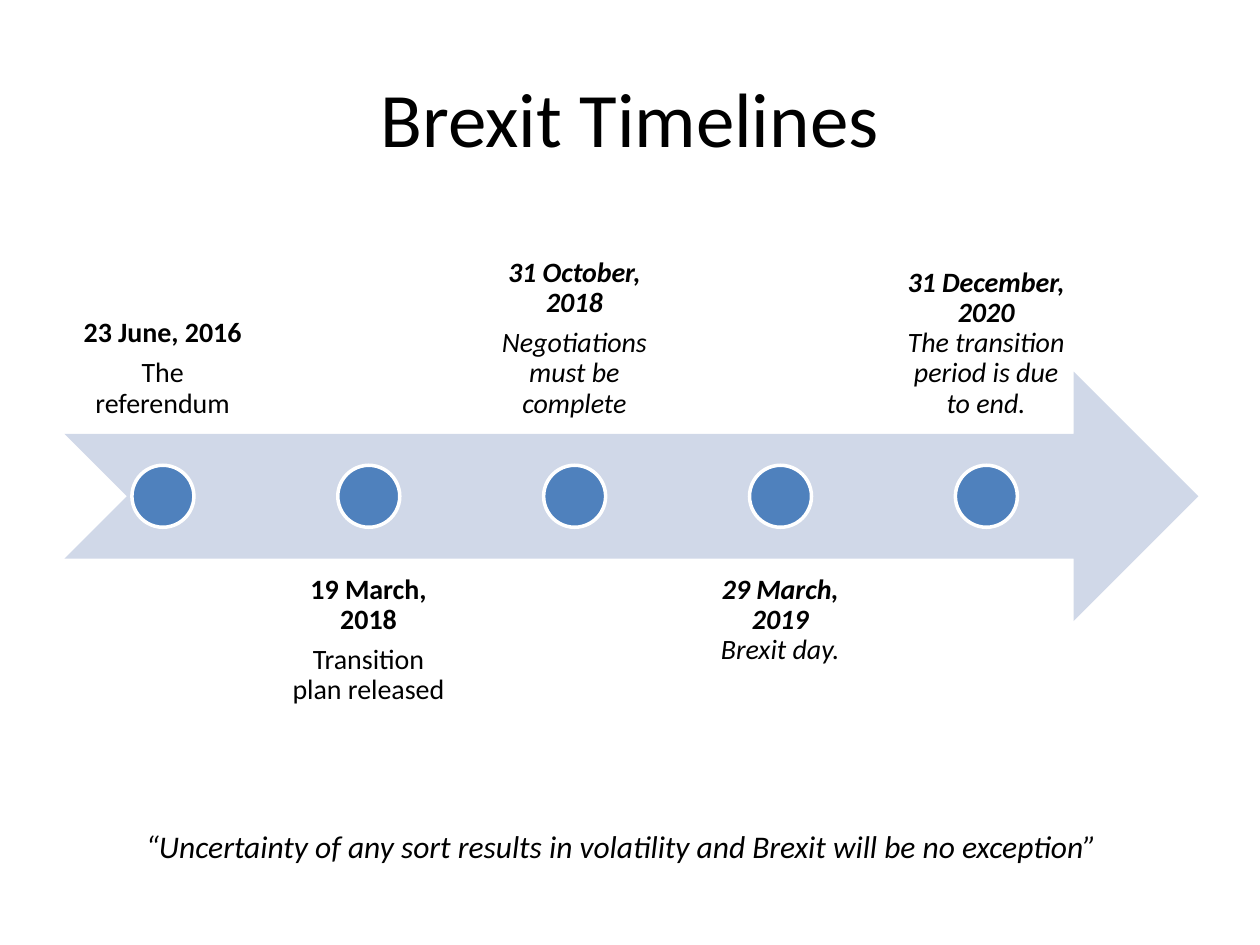
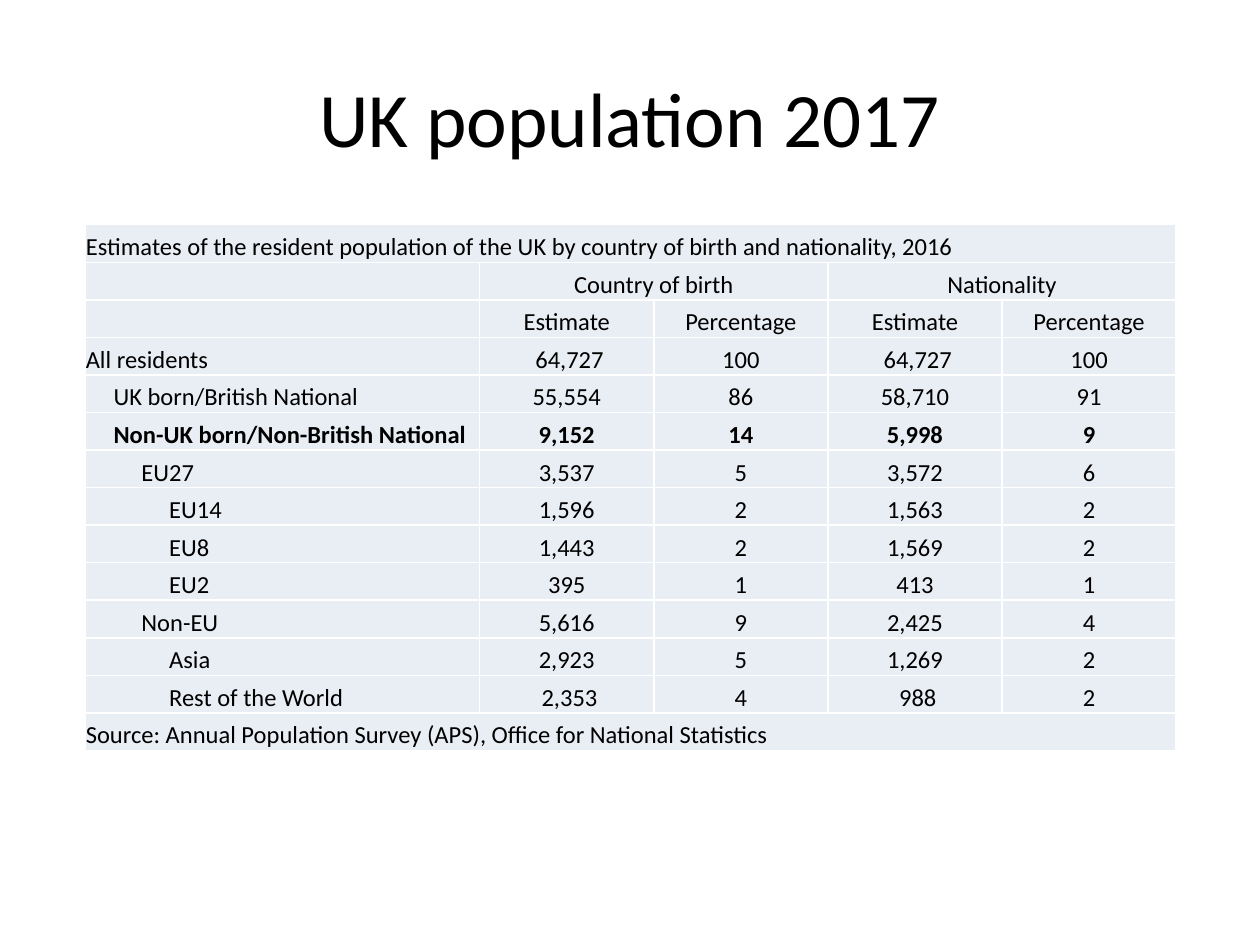
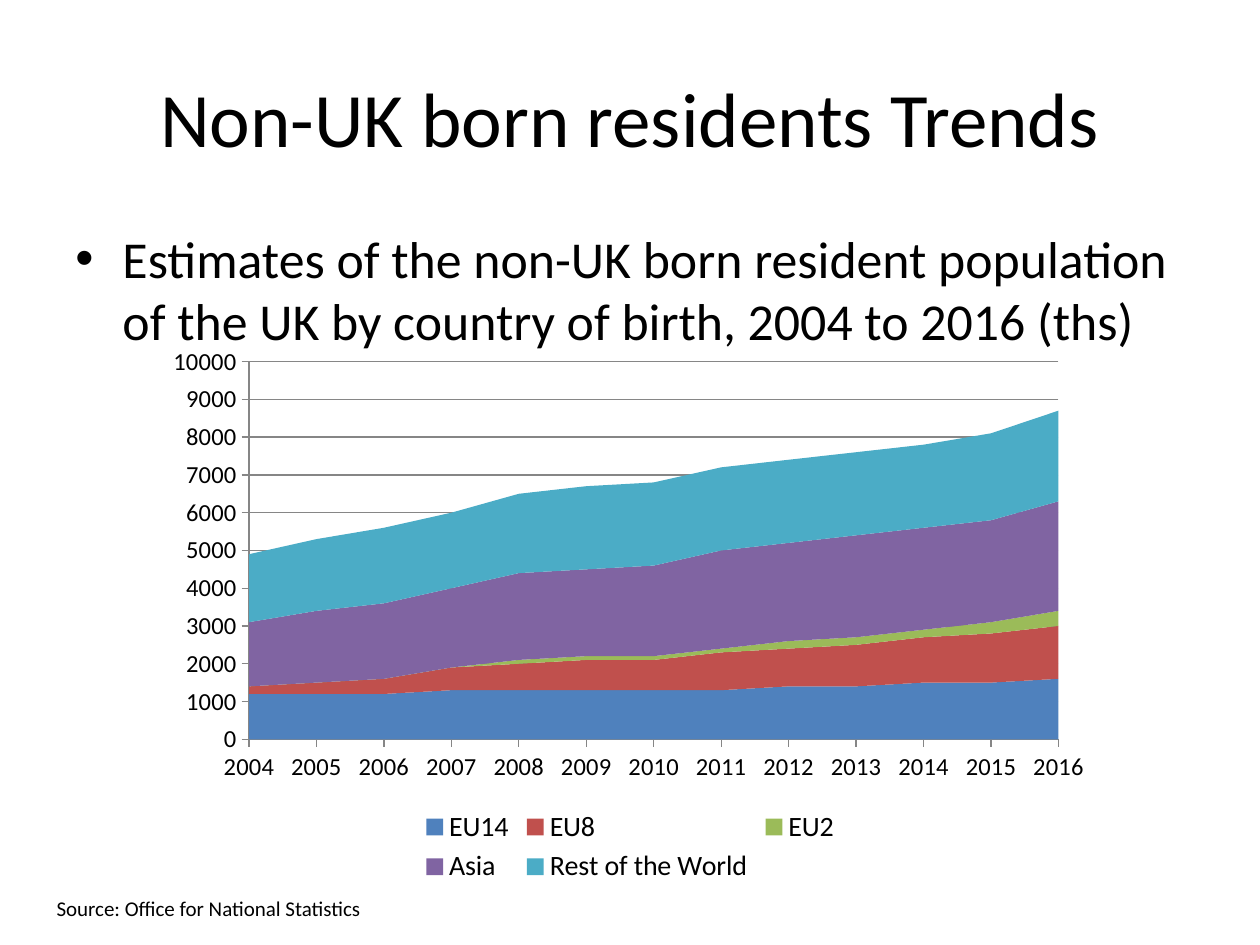
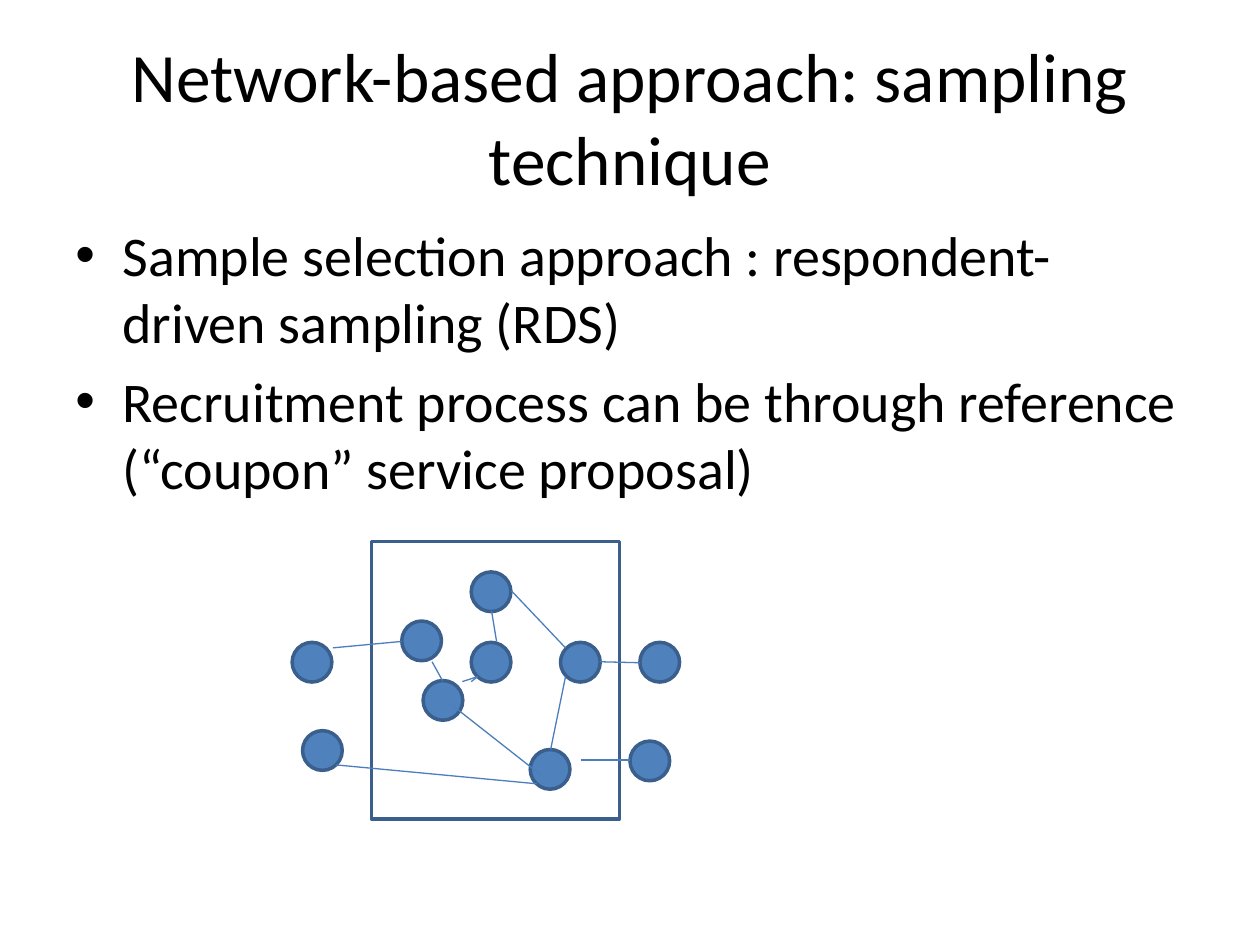
from lxml.etree import SubElement
from pptx import Presentation
from pptx.chart.data import CategoryChartData
from pptx.dml.color import RGBColor
from pptx.enum.chart import XL_CHART_TYPE as ChartType, XL_LEGEND_POSITION as LegendPosition
from pptx.enum.chart import XL_TICK_MARK as TickMark
from pptx.enum.shapes import MSO_CONNECTOR as Connector, MSO_SHAPE as Shape
from pptx.enum.text import MSO_ANCHOR as Anchor, PP_ALIGN as Align
from pptx.oxml.ns import qn
from pptx.util import Cm, Pt

FONT = "Calibri"
COLOURS = {
    "text": "000000", "white": "FFFFFF", "arrow": "D0D8E8", "blue": "4F81BD",
    "outline": "3A5F8C", "link": "4B7EBC", "cell": "E9EDF4", "grid": "868686",
    "red": "C0504D", "green": "9BBB59", "purple": "8064A2", "teal": "4BACC6",
}
RGB = {name: RGBColor.from_string(value) for name, value in COLOURS.items()}


def write(para, text, size, bold=False, italic=False, align=Align.LEFT):
    para.alignment = align
    span = para.add_run()
    span.text = text
    span.font.name = FONT
    span.font.size = Pt(size)
    span.font.bold = bold
    span.font.italic = italic
    span.font.color.rgb = RGB["text"]


def add_frame(page, left, top, width, height, anchor=Anchor.TOP):
    box = page.shapes.add_textbox(Cm(left), Cm(top), Cm(width), Cm(height))
    frame = box.text_frame
    frame.word_wrap = True
    frame.vertical_anchor = anchor
    return frame


deck = Presentation()
deck.slide_width = Cm(25.4)
deck.slide_height = Cm(19.05)

titles = [
    ("Brexit Timelines", 44),
    ("UK population 2017", 44),
    ("Non-UK born residents Trends", 44),
    ("Network-based approach: sampling technique", 39.6),
]
pages = []
for title, size in titles:
    page = deck.slides.add_slide(deck.slide_layouts[6])
    frame = add_frame(page, 1.27, 0.76, 22.86, 3.18, Anchor.MIDDLE)
    write(frame.paragraphs[0], title, size, align=Align.CENTER)
    pages.append(page)
timeline_page, table_page, trend_page, network_page = pages

bullet_lists = [
    (trend_page, 4.45, 2.49, 29.6, [
        "Estimates of the non-UK born resident population of the UK by country of birth, 2004 to 2016 (ths)",
    ]),
    (network_page, 4.32, 12.57, 32, [
        "Sample selection approach : respondent-driven sampling (RDS)",
        "Recruitment process can be through reference (“coupon” service proposal)",
    ]),
]
for page, top, height, size, lines in bullet_lists:
    frame = add_frame(page, 1.27, top, 22.86, height)
    for index, line in enumerate(lines):
        para = frame.add_paragraph() if index else frame.paragraphs[0]
        write(para, line, size)
        para.space_before = Pt(size * 0.2)
        props = para._p.get_or_add_pPr()
        props.set("marL", str(Cm(0.95)))
        props.set("indent", str(-Cm(0.95)))
        SubElement(props, qn("a:buFont")).set("typeface", "Arial")
        SubElement(props, qn("a:buChar")).set("char", "•")

arrow = timeline_page.shapes.add_shape(
    Shape.NOTCHED_RIGHT_ARROW, Cm(1.3), Cm(7.49), Cm(22.86), Cm(5.03))
arrow.shadow.inherit = False
arrow.fill.solid()
arrow.fill.fore_color.rgb = RGB["arrow"]
arrow.line.fill.background()

events = [
    ("23 June, 2016", "The referendum", False, 5.6),
    ("19 March, 2018", "Transition plan released", False, 5.6),
    ("31 October, 2018", "Negotiations must be complete", True, 5.6),
    ("29 March, 2019", "Brexit day.", True, 0),
    ("31 December, 2020", "The transition period is due to end.", True, 0),
]
for index, (date, event, italic, gap) in enumerate(events):
    left = 1.3 + index * 4.15
    above = index % 2 == 0
    frame = add_frame(timeline_page, left, 3.73 if above else 11.28, 3.96, 5.03,
                      Anchor.BOTTOM if above else Anchor.TOP)
    frame.margin_left = frame.margin_right = Cm(0.31)
    frame.margin_top = frame.margin_bottom = Cm(0.31)
    date_para = frame.paragraphs[0]
    event_para = frame.add_paragraph()
    write(date_para, date, 16, True, italic, Align.CENTER)
    write(event_para, event, 16, False, italic, Align.CENTER)
    date_para.line_spacing = event_para.line_spacing = 0.9
    date_para.space_after = Pt(gap)
    dot = timeline_page.shapes.add_shape(
        Shape.OVAL, Cm(left + 1.36), Cm(9.38), Cm(1.25), Cm(1.25))
    dot.shadow.inherit = False
    dot.fill.solid()
    dot.fill.fore_color.rgb = RGB["blue"]
    dot.line.color.rgb = RGB["white"]
    dot.line.width = Pt(2)

quote = add_frame(timeline_page, 2.69, 16.54, 21.06, 1.02)
write(quote.paragraphs[0],
      "“Uncertainty of any sort results in volatility and Brexit will be no exception”",
      18, italic=True)

rows = [
    (0, "Estimates of the resident population of the UK by country of birth and nationality, 2016", "", "", "", ""),
    (0, "", "Country of birth", "", "Nationality", ""),
    (0, "", "Estimate", "Percentage", "Estimate", "Percentage"),
    (0, "All residents", "\u00a064,727", "100", "\u00a064,727", "100"),
    (1, "UK born/British National", "55,554", "86", "58,710", "91"),
    (1, "Non-UK born/Non-British National", "9,152", "14", "5,998", "9"),
    (2, "EU27", "3,537", "5", "3,572", "6"),
    (3, "EU14", "1,596", "2", "1,563", "2"),
    (3, "EU8", "1,443", "2", "1,569", "2"),
    (3, "EU2", "395", "1", "413", "1"),
    (2, "Non-EU", "5,616", "9", "2,425", "4"),
    (3, "Asia", "2,923", "5", "1,269", "2"),
    (3, "Rest of the World", "\u00a02,353", "4", "\u00a0988", "2"),
    (0, "Source: Annual Population Survey (APS), Office for National Statistics", "", "", "", ""),
]
bold_row = 5
table = table_page.shapes.add_table(
    len(rows), 5, Cm(1.71), Cm(4.53), Cm(22), Cm(10.6)).table
table.first_row = False
table.horz_banding = False
for index, column in enumerate(table.columns):
    column.width = Cm(3.51 if index else 7.96)
for row_index, (level, *texts) in enumerate(rows):
    table.rows[row_index].height = Cm(0.757)
    for column_index, text in enumerate(texts):
        cell = table.cell(row_index, column_index)
        cell.vertical_anchor = Anchor.BOTTOM
        cell.margin_left = cell.margin_right = cell.margin_top = Cm(0.02)
        cell.margin_bottom = 0
        props = cell._tc.get_or_add_tcPr()
        for side in ("a:lnL", "a:lnR", "a:lnT", "a:lnB"):
            border = SubElement(props, qn(side))
            border.set("w", str(Pt(1)))
            paint = SubElement(border, qn("a:solidFill"))
            SubElement(paint, qn("a:srgbClr")).set("val", COLOURS["white"])
        cell.fill.solid()
        cell.fill.fore_color.rgb = RGB["cell"]
        para = cell.text_frame.paragraphs[0]
        if text:
            write(para, text, 14, row_index == bold_row,
                  align=Align.CENTER if column_index else Align.LEFT)
        else:
            SubElement(para._p, qn("a:endParaRPr")).set("sz", "1400")
        if column_index == 0 and level:
            para._p.get_or_add_pPr().set("marL", str(Cm(level * 0.56)))
last = len(rows) - 1
for row_index, first, final in [(0, 0, 4), (1, 1, 2), (1, 3, 4), (last, 0, 4)]:
    table.cell(row_index, first).merge(table.cell(row_index, final))

series = [
    ("EU14", "blue", [1200, 1200, 1200, 1300, 1300, 1300, 1300, 1300, 1400, 1400, 1500, 1500, 1600]),
    ("EU8", "red", [200, 300, 400, 600, 700, 800, 800, 1000, 1000, 1100, 1200, 1300, 1400]),
    ("EU2", "green", [0, 0, 0, 0, 100, 100, 100, 100, 200, 200, 200, 300, 400]),
    ("Asia", "purple", [1700, 1900, 2000, 2100, 2300, 2300, 2400, 2600, 2600, 2700, 2700, 2700, 2900]),
    ("Rest of the World", "teal", [1800, 1900, 2000, 2000, 2100, 2200, 2200, 2200, 2200, 2200, 2200, 2300, 2400]),
]
data = CategoryChartData()
data.categories = [str(year) for year in range(2004, 2017)]
for name, colour, values in series:
    data.add_series(name, values)
chart = trend_page.shapes.add_chart(
    ChartType.AREA_STACKED, Cm(3.1), Cm(6.73), Cm(19.2), Cm(11.2), data).chart
chart.has_title = False
chart.font.name = FONT
chart.font.size = Pt(10)
chart.font.color.rgb = RGB["text"]
chart.plots[0].vary_by_categories = False
for area, (name, colour, values) in zip(chart.plots[0].series, series):
    area.format.fill.solid()
    area.format.fill.fore_color.rgb = RGB[colour]
for axis in (chart.category_axis, chart.value_axis):
    axis.tick_labels.font.size = Pt(14)
    axis.major_tick_mark = TickMark.OUTSIDE
    axis.minor_tick_mark = TickMark.NONE
    axis.format.line.color.rgb = RGB["grid"]
chart.category_axis.has_major_gridlines = False
chart.value_axis.minimum_scale = 0
chart.value_axis.maximum_scale = 10000
chart.value_axis.major_unit = 1000
chart.value_axis.has_major_gridlines = True
chart.value_axis.major_gridlines.format.line.color.rgb = RGB["grid"]
chart.has_legend = True
chart.legend.position = LegendPosition.BOTTOM
chart.legend.include_in_layout = False
chart.legend.font.size = Pt(16)

plot_area = chart._chartSpace.chart.plotArea
for layout in plot_area.findall(qn("c:layout")):
    plot_area.remove(layout)
layout = SubElement(plot_area, qn("c:layout"))
plot_area.insert(0, layout)
manual = SubElement(layout, qn("c:manualLayout"))
for tag, value in [("layoutTarget", "inner"), ("xMode", "edge"), ("yMode", "edge"),
                   ("x", "0.1"), ("y", "0.05"), ("w", "0.85"), ("h", "0.68")]:
    SubElement(manual, qn("c:" + tag)).set("val", value)

source = add_frame(trend_page, 0.89, 17.93, 22.4, 1.55)
write(source.paragraphs[0], "Source: Office for National Statistics", 12)

people = [
    (8.1, 12.52), (8.53, 13.72), (9.5, 12.95), (9.5, 11.53), (11.3, 12.95),
    (12.9, 12.95), (12.7, 14.94), (5.89, 12.95), (6.1, 14.73), (10.69, 15.11),
]
outlines = [(Shape.OVAL, left, top, 0.8, 0.8) for left, top in people]
outlines.append((Shape.RECTANGLE, 7.49, 10.92, 5, 5.59))
for kind, left, top, width, height in outlines:
    shape = network_page.shapes.add_shape(kind, Cm(left), Cm(top), Cm(width), Cm(height))
    shape.shadow.inherit = False
    shape.line.color.rgb = RGB["outline"]
    shape.line.width = Pt(2)
    if kind == Shape.OVAL:
        shape.fill.solid()
        shape.fill.fore_color.rgb = RGB["blue"]
    else:
        shape.fill.background()

links = [
    (8.92, 13.72, 8.71, 13.34), (9.91, 12.32, 10.01, 12.93),
    (9.5, 13.74, 9.63, 13.64), (9.12, 14.22, 10.9, 15.62),
    (9.32, 13.74, 9.63, 13.64), (11.1, 15.11, 11.4, 13.64),
    (12.09, 13.34, 12.9, 13.36), (11.71, 15.32, 12.7, 15.32),
    (10.31, 11.91, 11.4, 13.06), (6.78, 15.42, 10.82, 15.8),
    (6.71, 13.06, 8.1, 12.93),
]
for ends in links:
    link = network_page.shapes.add_connector(Connector.STRAIGHT, *[Cm(end) for end in ends])
    link.line.color.rgb = RGB["link"]
    link.line.width = Pt(0.75)
    SubElement(link._element.spPr, qn("a:effectLst"))

deck.save("out.pptx")
